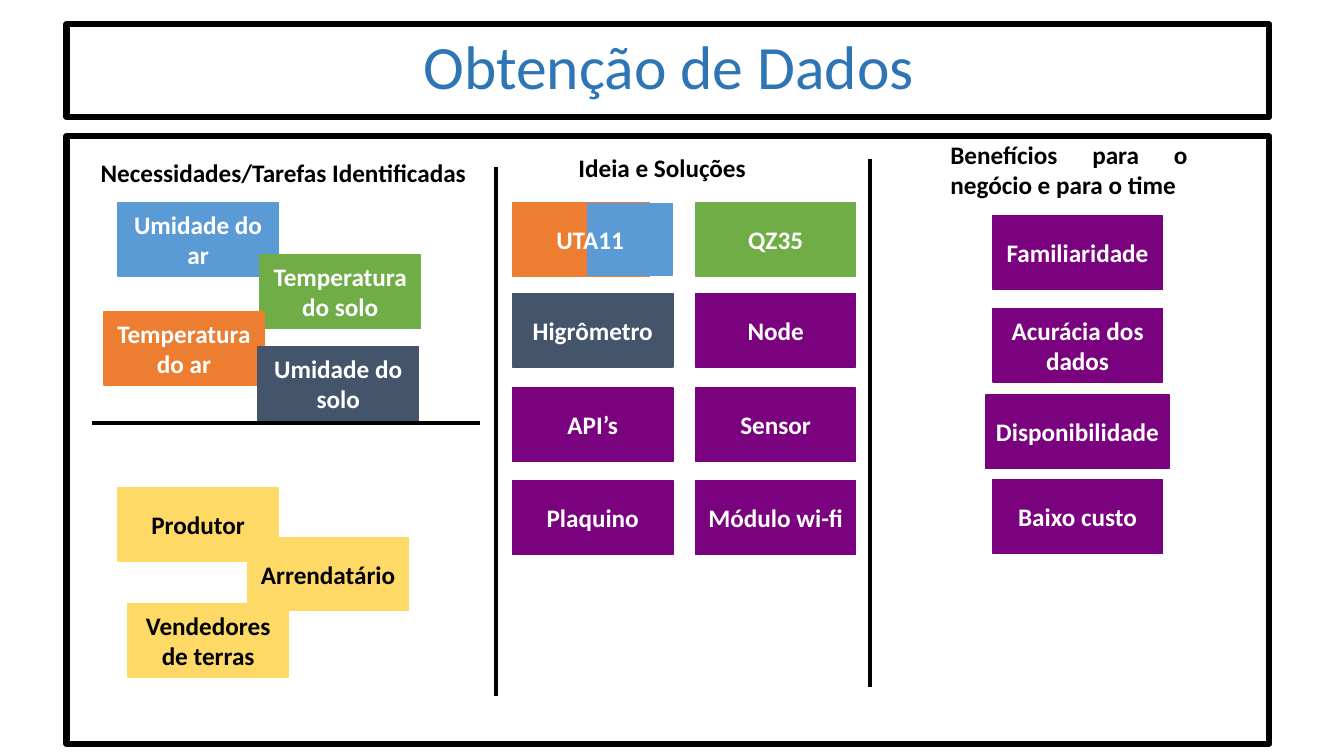
from lxml import etree
from pptx import Presentation, util as u
from pptx.dml.color import RGBColor
from pptx.enum import shapes, text
from pptx.oxml.ns import qn

COLUMNS, ROWS = 133.33, 75
CELL = u.Inches(0.1)
CARD_WIDTH, CARD_HEIGHT = 15.9, 7.3
BLACK, WHITE, TITLE_BLUE = "000000", "FFFFFF", "2E75B6"
YELLOW, BLUE, GREEN = "FFD966", "5B9BD5", "70AD47"
ORANGE, SLATE, PURPLE = "ED7D31", "44546A", "7B027E"

NEEDS = [
    ("Umidade do ar", 11.7, 20.1, BLUE),
    ("Temperatura do solo", 25.8, 25.3, GREEN),
    ("Temperatura do ar", 10.3, 30.9, ORANGE),
    ("Umidade do solo", 25.6, 34.4, SLATE),
]
PEOPLE = [
    ("Produtor", 11.7, 48.4),
    ("Arrendatário", 24.6, 53.3),
    ("Vendedores de terras", 12.7, 59.9),
]
SOLUTION_COLUMNS = (50.85, 69)
SOLUTION_ROWS = (20.1, 29.1, 38.5, 47.7)
SOLUTIONS = [
    (None, ("QZ35", GREEN)),
    (("Higrômetro", SLATE), ("Node", PURPLE)),
    (("API’s", PURPLE), ("Sensor", PURPLE)),
    (("Plaquino", PURPLE), ("Módulo wi-fi", PURPLE)),
]
BENEFIT_CENTER = 106.9
BENEFITS = [
    ("Familiaridade", 21.4, 16.8),
    ("Acurácia dos dados", 30.6, 16.8),
    ("Disponibilidade", 39.2, 18.2),
    ("Baixo custo", 47.6, 16.8),
]
HEADINGS = [
    ("Necessidades/Tarefas Identificadas", 9, 15.1, 38.6),
    ("Ideia e Soluções", 56.4, 14.6, 18.7),
]
DIVIDERS = [
    (9.1, 42, 47.6, 42),
    (49.2, 16.6, 49.2, 69),
    (86.3, 15.8, 86.3, 68.2),
]


def color(value):
    return RGBColor.from_string(value)


def cells(*counts):
    return [round(count * CELL) for count in counts]


def write(frame, words, size, ink, bold, align):
    frame.text = words
    para = frame.paragraphs[0]
    para.alignment = align
    para.font.name = "Calibri"
    para.font.size = u.Pt(size)
    para.font.bold = bold
    para.font.color.rgb = color(ink)


def add_box(page, left, top, width, height, line, weight, fill=None):
    box = page.shapes.add_shape(
        shapes.MSO_SHAPE.RECTANGLE, *cells(left, top, width, height))
    box.shadow.inherit = False
    if fill:
        box.fill.solid()
        box.fill.fore_color.rgb = color(fill)
    else:
        box.fill.background()
    box.line.color.rgb = color(line)
    box.line.width = u.Pt(weight)
    return box


def add_card(page, words, left, top, fill, ink=WHITE, width=CARD_WIDTH):
    card = add_box(page, left, top, width, CARD_HEIGHT, fill, 1, fill)
    card.text_frame.vertical_anchor = text.MSO_ANCHOR.MIDDLE
    write(card.text_frame, words, 18, ink, True, text.PP_ALIGN.CENTER)


def add_label(page, words, left, top, width, height=4, ink=BLACK,
              wrap=False, align=text.PP_ALIGN.LEFT):
    label = page.shapes.add_textbox(*cells(left, top, width, height))
    label.text_frame.word_wrap = wrap
    write(label.text_frame, words, 18, ink, True, align)


def add_divider(page, *ends):
    divider = page.shapes.add_connector(
        shapes.MSO_CONNECTOR.STRAIGHT, *cells(*ends))
    divider.line.color.rgb = color(BLACK)
    divider.line.width = u.Pt(3)
    etree.SubElement(divider._element.spPr, qn("a:effectLst"))


def set_title(page, words):
    title = page.shapes.title
    title.left, title.top, title.width, title.height = cells(41, 2.3, 51.2, 8.4)
    title.text_frame.word_wrap = False
    title.text_frame.vertical_anchor = text.MSO_ANCHOR.TOP
    write(title.text_frame, words, 44, TITLE_BLUE, False, text.PP_ALIGN.LEFT)


def add_two_color_card(page, words, left, top):
    add_box(page, left, top, 13.6, CARD_HEIGHT, ORANGE, 1, ORANGE)
    add_box(page, left + 7.45, top + 0.1, 8.4, 7.1, BLUE, 1, BLUE)
    add_label(page, words, left + 3.35, top + 1.7, 8.9, ink=WHITE)


def main():
    deck = Presentation()
    deck.slide_width, deck.slide_height = cells(COLUMNS, ROWS)
    page = deck.slides.add_slide(deck.slide_layouts[5])
    set_title(page, "Obtenção de Dados")

    for words, left, top in PEOPLE:
        add_card(page, words, left, top, YELLOW, BLACK)
    for need in NEEDS:
        add_card(page, *need)
    add_two_color_card(page, "UTA11", SOLUTION_COLUMNS[0], SOLUTION_ROWS[0])
    for top, row in zip(SOLUTION_ROWS, SOLUTIONS):
        for left, solution in zip(SOLUTION_COLUMNS, row):
            if solution:
                words, fill = solution
                add_card(page, words, left, top, fill)
    for words, top, width in BENEFITS:
        add_card(page, words, BENEFIT_CENTER - width / 2, top, PURPLE,
                 width=width)

    for top, height in ((2.4, 9.2), (13.5, 60.3)):
        add_box(page, 6.6, top, 119.3, height, BLACK, 4.5)
    for ends in DIVIDERS:
        add_divider(page, *ends)
    for heading in HEADINGS:
        add_label(page, *heading)
    add_label(page, "Benefícios para o negócio e para o time",
              93.3, 13.3, 25.5, 7.1, wrap=True, align=text.PP_ALIGN.JUSTIFY)

    deck.save("out.pptx")


main()
